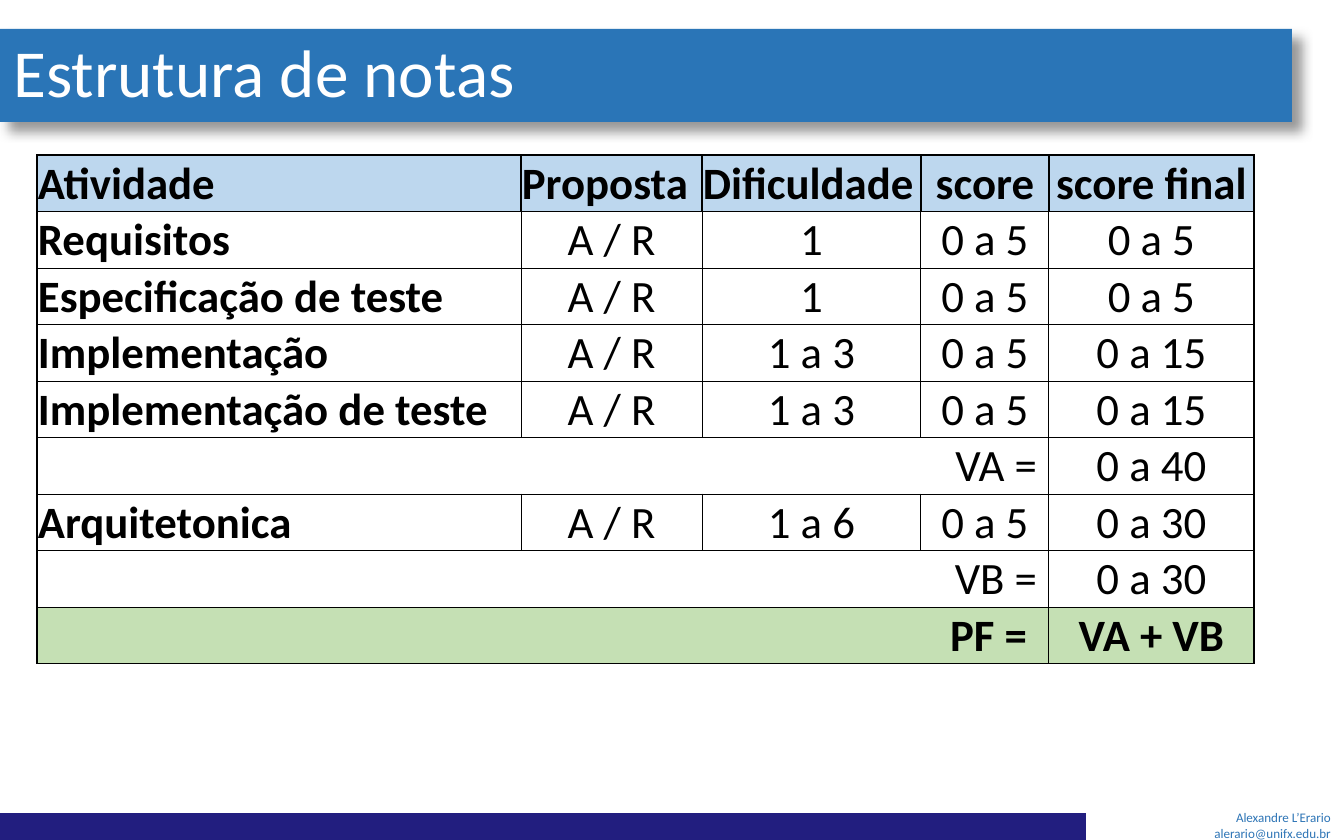
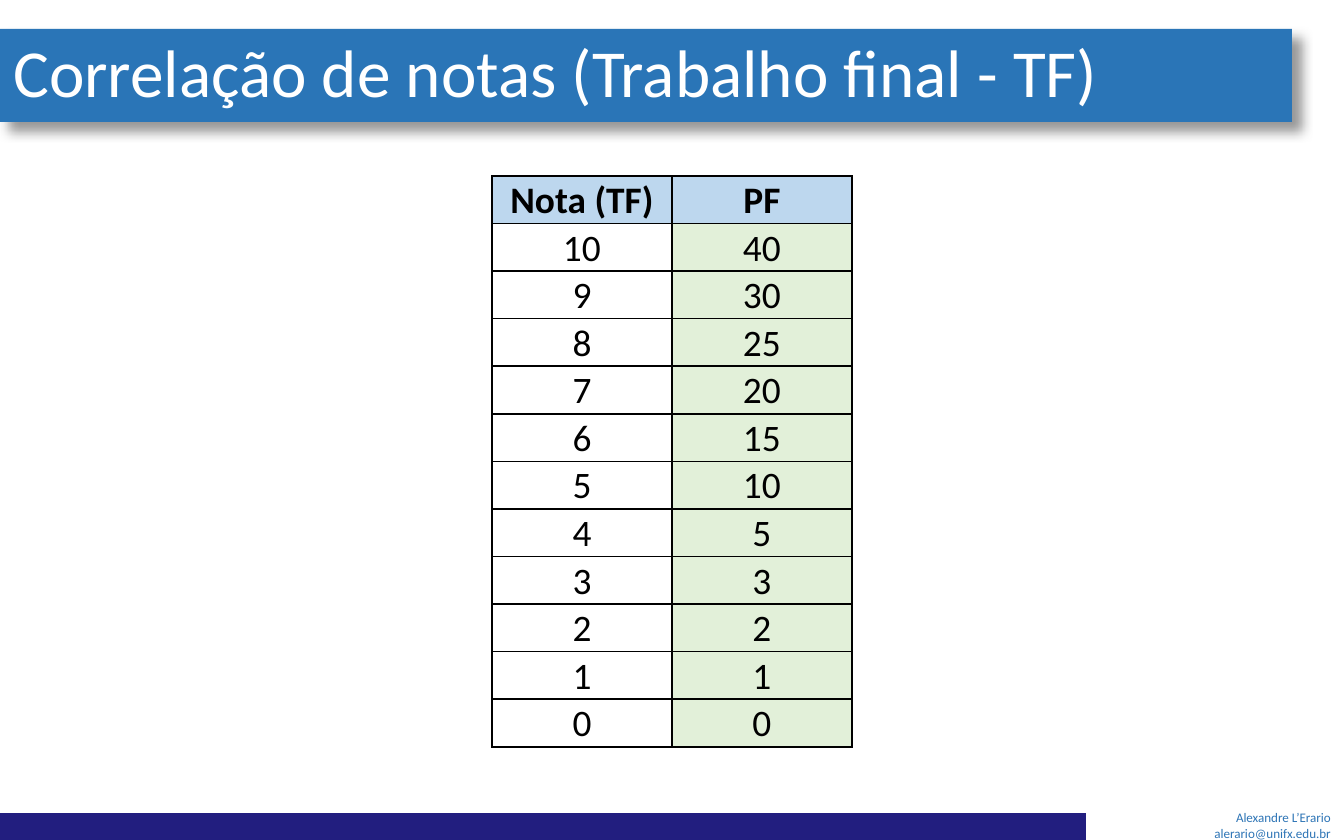
from dataclasses import dataclass
from lxml import etree
from pptx import Presentation, util as u
from pptx.dml import color
from pptx.enum import shapes, text
from pptx.oxml import ns, parse_xml

PIXEL = 914400 / 134.4


@dataclass(frozen=True)
class Theme:
    font: str = "Calibri"
    title_size: int = 36
    grades_size: int = 24
    scale_size: int = 20
    footer_size: int = 7
    title_band: str = "2A75B7"
    footer_band: str = "221E7F"
    footer_text: str = "2E75B6"
    header: str = "BDD7EE"
    total: str = "C5E0B4"
    points: str = "E2F0D9"
    white: str = "FFFFFF"
    black: str = "000000"


theme = Theme()
LEFT, CENTER, RIGHT = text.PP_ALIGN.LEFT, text.PP_ALIGN.CENTER, text.PP_ALIGN.RIGHT


def px(*lengths):
    return [u.Emu(round(length * PIXEL)) for length in lengths]


def write(frame, lines, size, rgb, align=LEFT, bold=False, spacing=None):
    """Write one formatted paragraph per line."""
    for number, line in enumerate(lines):
        paragraph = frame.add_paragraph() if number else frame.paragraphs[0]
        paragraph.alignment = align
        paragraph.line_spacing = spacing
        run = paragraph.add_run()
        run.text = line
        run.font.color.rgb = color.RGBColor.from_string(rgb)
        formats = {"name": theme.font, "size": u.Pt(size), "bold": bold}
        for name, value in formats.items():
            setattr(run.font, name, value)


# Content: a summary row holds only its label and its result
grades = [
    ["Atividade", "Proposta", "Dificuldade", "score", "score final"],
    ["Requisitos", "A / R", "1", "0 a 5", "0 a 5"],
    ["Especificação de teste", "A / R", "1", "0 a 5", "0 a 5"],
    ["Implementação", "A / R", "1 a 3", "0 a 5", "0 a 15"],
    ["Implementação de teste", "A / R", "1 a 3", "0 a 5", "0 a 15"],
    ["VA =", "0 a 40"],
    ["Arquitetonica", "A / R", "1 a 6", "0 a 5", "0 a 30"],
    ["VB =", "0 a 30"],
    ["PF =", "VA + VB"],
]
points = [40, 30, 25, 20, 15, 10, 5, 3, 2, 1, 0]
scale = [["Nota (TF)", "PF"]]
scale += [[str(10 - step), str(value)] for step, value in enumerate(points)]

pages = [
    {"title": "Estrutura de notas", "rows": grades, "origin": (37, 155),
     "columns": [484, 181, 219, 128, 205], "height": 509,
     "size": theme.grades_size, "inner_line": 0.5},
    {"title": "Correlação de notas (Trabalho final - TF)", "rows": scale,
     "origin": (492, 176), "columns": [180, 180], "height": 571,
     "size": theme.scale_size, "inner_line": 1},
]

presentation = Presentation()
presentation.slide_width, presentation.slide_height = px(1344, 840)

for page in pages:
    slide = presentation.slides.add_slide(presentation.slide_layouts[6])

    # Footer band and title band
    bands = []
    for box, fill in [((0, 813, 1086, 28), theme.footer_band),
                      ((0, 29, 1292, 93), theme.title_band)]:
        band = slide.shapes.add_shape(shapes.MSO_SHAPE.RECTANGLE, *px(*box))
        band.shadow.inherit = False
        band.fill.solid()
        band.fill.fore_color.rgb = color.RGBColor.from_string(fill)
        band.line.fill.background()
        bands.append(band)

    # Title text and its shadow
    title = bands[1]
    title.text_frame.word_wrap = True
    title.text_frame.vertical_anchor = text.MSO_ANCHOR.MIDDLE
    write(title.text_frame, [page["title"]], theme.title_size, theme.white, spacing=0.9)
    effects = title._element.spPr.find(ns.qn("a:effectLst"))
    effects.append(parse_xml(
        f'<a:outerShdw {ns.nsdecls("a")} blurRad="{u.Pt(6)}" dist="{u.Pt(7)}" '
        f'dir="2700000" algn="tl" rotWithShape="0"><a:srgbClr val="{theme.black}">'
        '<a:alpha val="40000"/></a:srgbClr></a:outerShdw>'))

    # Author
    author = slide.shapes.add_textbox(*px(1180, 810, 164, 30)).text_frame
    formats = {"word_wrap": True, "auto_size": text.MSO_AUTO_SIZE.NONE,
               "vertical_anchor": text.MSO_ANCHOR.MIDDLE}
    for name, value in formats.items():
        setattr(author, name, value)
    write(author, ["Alexandre L’Erario", "alerario@unifx.edu.br"],
          theme.footer_size, theme.footer_text, RIGHT)

    # Table grid
    rows, columns = page["rows"], page["columns"]
    last_row, last_column = len(rows) - 1, len(columns) - 1
    table = slide.shapes.add_table(
        len(rows), len(columns),
        *px(*page["origin"], sum(columns), page["height"])).table
    table.horz_banding = table.first_row = False
    for column, width in zip(table.columns, columns):
        column.width = px(width)[0]
    for row in table.rows:
        row.height = px(page["height"] / len(rows))[0]

    # Table cells
    for r, values in enumerate(rows):
        summary = len(values) < len(columns)
        if summary:
            table.cell(r, 0).merge(table.cell(r, last_column - 1))
        places = [0, last_column] if summary else range(len(columns))
        for c, value in zip(places, values):
            cell = table.cell(r, c)
            total = summary and r == last_row
            align, bold, fill, right_gap = CENTER, r == 0 or total, None, 1
            if rows is grades:
                if summary and c == 0:
                    align, right_gap = RIGHT, 22 if total else 12
                elif c == 0:
                    align, bold = LEFT, True
                elif r == 0 and c < 3:
                    align = LEFT
                fill = theme.total if total else None
            elif c == 1:
                fill = theme.points
            if r == 0:
                fill = theme.header

            # Heavier lines around the table and the header
            heavy = {"L": r == 0 or c == 0, "R": r == 0 or c == last_column,
                     "T": r <= 1, "B": r in (0, last_row)}
            properties = cell._tc.get_or_add_tcPr()
            for side, is_heavy in heavy.items():
                width = u.Pt(1 if is_heavy else page["inner_line"])
                line = etree.SubElement(properties, ns.qn(f"a:ln{side}"), w=str(width))
                solid = etree.SubElement(line, ns.qn("a:solidFill"))
                etree.SubElement(solid, ns.qn("a:srgbClr"), val=theme.black)
            if fill:
                cell.fill.solid()
                cell.fill.fore_color.rgb = color.RGBColor.from_string(fill)
            else:
                cell.fill.background()

            left, top, right, bottom = px(1, 1, right_gap, 0)
            formats = {"margin_left": left, "margin_top": top, "margin_right": right,
                       "margin_bottom": bottom, "vertical_anchor": text.MSO_ANCHOR.BOTTOM}
            for name, setting in formats.items():
                setattr(cell, name, setting)
            write(cell.text_frame, [value], page["size"], theme.black, align, bold)

presentation.save("out.pptx")
